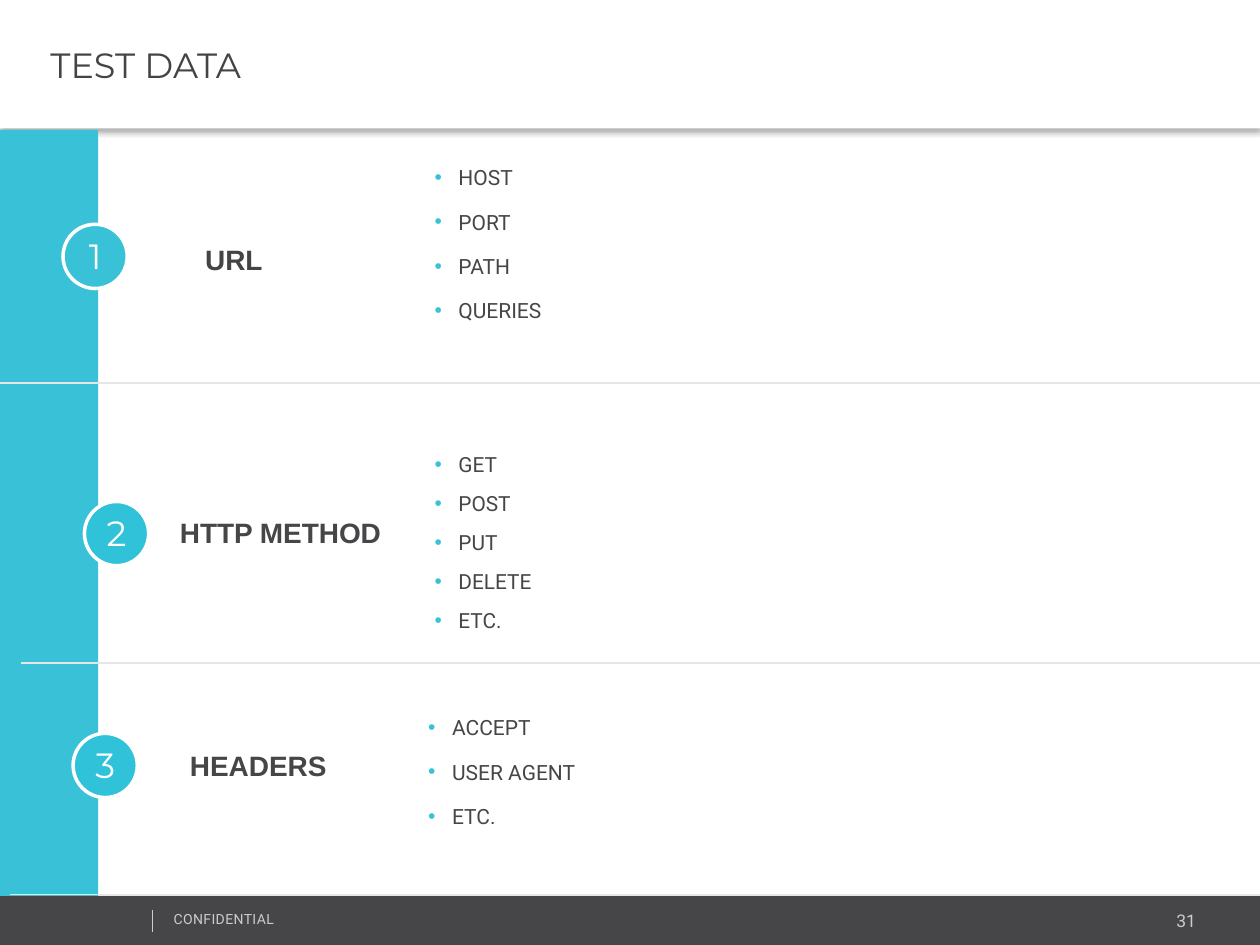
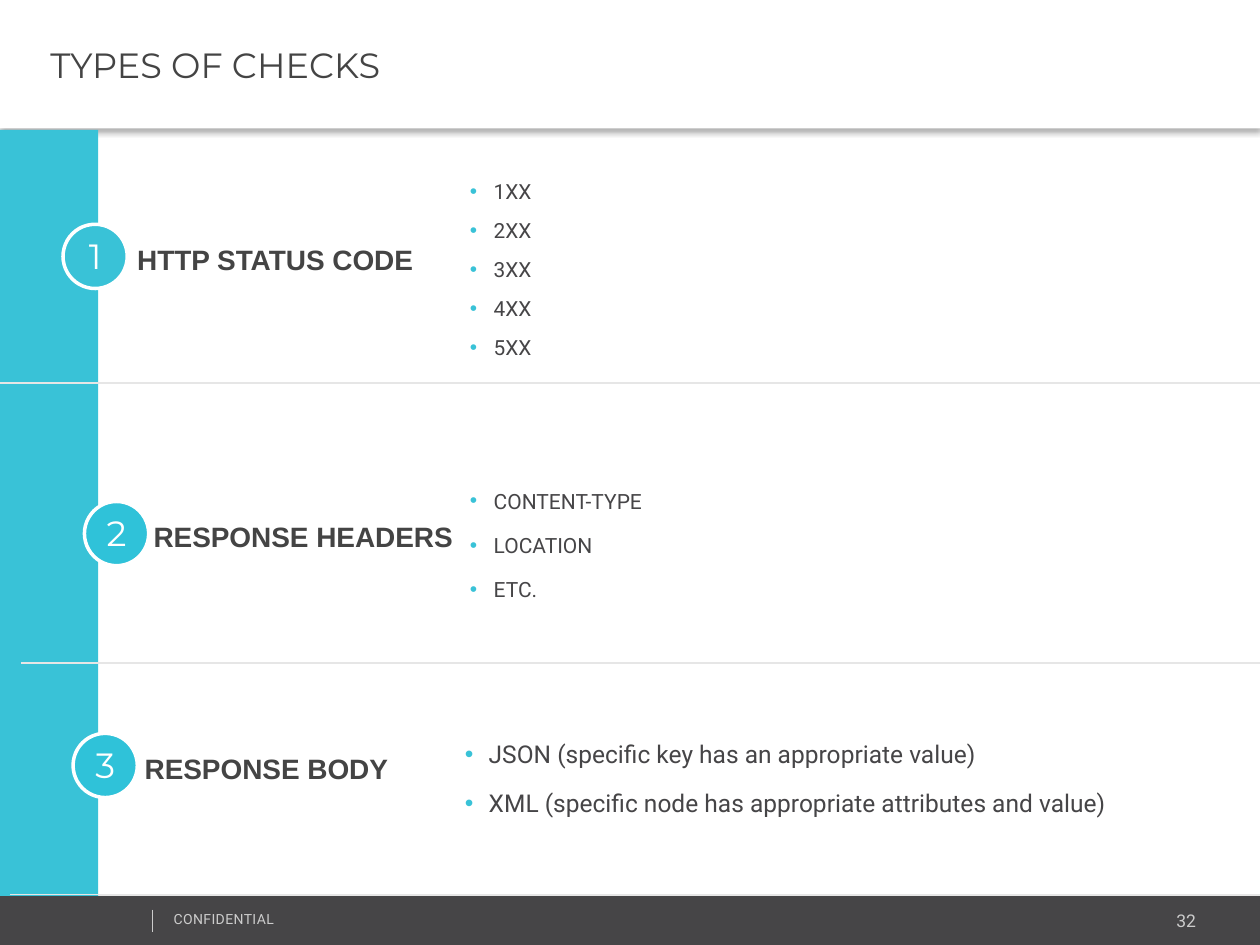
from lxml import etree
from pptx import Presentation
from pptx.dml.color import RGBColor
from pptx.enum import shapes, text
from pptx.oxml import parse_xml
from pptx.oxml.ns import nsdecls, qn
from pptx.util import Inches, Pt

TEAL, AQUA, DARK, INK = "39C2D7", "2FC2D9", "464547", "444444"
WHITE, PALE, GREY = "FFFFFF", "E6E6E6", "CCCCCC"

ROWS = [
    {"shift": 0, "badge_top": 1.78, "rule_y": 3.04, "fill": TEAL},
    {"shift": 0.17, "badge_top": 3.98, "rule_y": 5.26, "fill": AQUA},
    {"shift": 0.08, "badge_top": 5.82, "rule_y": 7.1, "fill": AQUA},
]

LOOSE = {"size": 12, "spacing": 1.2}
TIGHT = {"size": 11.9}
LARGE = {"size": 14, "spacing": 1.2}
PLAIN_LABEL = {"height": 0.37, "color": DARK}
TALL_LABEL = {"height": 0.42, "color": INK, "spacing": 1.2}

SLIDES = [
    {"title": "TEST DATA", "number": "31", "topics": [
        {"label": "URL", "label_at": (1.53, 1.82, 0.71), "label_style": TALL_LABEL,
         "items": ["HOST", "PORT", "PATH", "QUERIES"],
         "items_at": (3.35, 1.14), "items_style": LOOSE},
        {"label": "HTTP METHOD", "label_at": (1.33, 4.04, 1.84), "label_style": PLAIN_LABEL,
         "items": ["GET", "POST", "PUT", "DELETE", "ETC."],
         "items_at": (3.35, 3.53), "items_style": TIGHT},
        {"label": "HEADERS", "label_at": (1.41, 5.89, 1.36), "label_style": PLAIN_LABEL,
         "items": ["ACCEPT", "USER AGENT", "ETC."],
         "items_at": (3.3, 5.33), "items_style": LOOSE},
    ]},
    {"title": "TYPES OF CHECKS", "number": "32", "topics": [
        {"label": "HTTP STATUS CODE", "label_at": (0.99, 1.82, 2.41), "label_style": TALL_LABEL,
         "items": ["1XX", "2XX", "3XX", "4XX", "5XX"],
         "items_at": (3.63, 1.36), "items_style": TIGHT},
        {"label": "RESPONSE HEADERS", "label_at": (1.12, 4.02, 2.61), "label_style": TALL_LABEL,
         "items": ["CONTENT-TYPE", "LOCATION", "ETC."],
         "items_at": (3.63, 3.53), "items_style": LOOSE},
        {"label": "RESPONSE BODY", "label_at": (1.05, 5.86, 2.2), "label_style": TALL_LABEL,
         "items": ["JSON (specific key has an appropriate value)",
                   "XML (specific node has appropriate attributes and value)"],
         "items_at": (3.59, 5.38), "items_style": LARGE},
    ]},
]


def rgb(value):
    """Turn a hex string into a colour."""
    return RGBColor.from_string(value)


def add_bullet(paragraph):
    """Give a paragraph a hanging teal bullet."""
    properties = paragraph._p.get_or_add_pPr()
    properties.set("marL", str(Inches(0.19)))
    properties.set("indent", str(-Inches(0.19)))
    color = etree.SubElement(properties, qn("a:buClr"))
    etree.SubElement(color, qn("a:srgbClr"), val=TEAL)
    etree.SubElement(properties, qn("a:buFont"), typeface="Arial")
    etree.SubElement(properties, qn("a:buChar"), char="•")


def write(shape, *lines, size, font="Roboto", color=DARK, bold=False, align="LEFT",
          anchor="TOP", insets=(0.1, 0.05, 0.1, 0.05), wrap=True, spacing=None,
          after=0, bullets=False, tracking=None):
    """Fill a shape with formatted lines of text."""
    frame = shape.text_frame
    frame.word_wrap = wrap
    frame.auto_size = text.MSO_AUTO_SIZE.NONE
    frame.vertical_anchor = text.MSO_ANCHOR[anchor]
    (frame.margin_left, frame.margin_top,
     frame.margin_right, frame.margin_bottom) = map(Inches, insets)
    for index, line in enumerate(lines):
        paragraph = frame.add_paragraph() if index else frame.paragraphs[0]
        paragraph.alignment = text.PP_ALIGN[align]
        paragraph.space_after = Pt(after)
        if spacing:
            paragraph.line_spacing = spacing
        if bullets:
            add_bullet(paragraph)
        run = paragraph.add_run()
        run.text = line
        run.font.size = Pt(size)
        run.font.name = font
        run.font.bold = bold
        run.font.color.rgb = rgb(color)
        if tracking:
            run.font._element.set("spc", str(tracking))


def add_text(slide, box, *lines, **style):
    """Add a text box and write in it."""
    write(slide.shapes.add_textbox(*map(Inches, box)), *lines, **style)


def add_block(slide, kind, box, fill, border=None):
    """Add a filled preset shape."""
    block = slide.shapes.add_shape(kind, *map(Inches, box))
    block.shadow.inherit = False
    block.fill.solid()
    block.fill.fore_color.rgb = rgb(fill)
    if border:
        block.line.color.rgb = rgb(border)
        block.line.width = Pt(2)
    else:
        block.line.fill.background()
    return block


def add_rule(slide, start, end, color, width):
    """Add a straight line without a shadow."""
    rule = slide.shapes.add_connector(shapes.MSO_CONNECTOR.STRAIGHT,
                                      *map(Inches, start + end))
    rule.line.color.rgb = rgb(color)
    rule.line.width = Pt(width)
    etree.SubElement(rule._element.spPr, qn("a:effectLst"))


def add_title(slide, title):
    """Format the title placeholder as a white band with a soft shadow."""
    band = slide.shapes.title
    band.left, band.top, band.width, band.height = map(Inches, (0, 0, 10, 1.02))
    band.fill.solid()
    band.fill.fore_color.rgb = rgb(WHITE)
    band._element.spPr.append(parse_xml(
        f'<a:effectLst {nsdecls("a")}><a:outerShdw blurRad="{Pt(3.1)}" dist="{Pt(2)}" '
        'dir="5400000" algn="t" rotWithShape="0"><a:srgbClr val="000000">'
        '<a:alpha val="30000"/></a:srgbClr></a:outerShdw></a:effectLst>'))
    write(band, title, size=20, font="Montserrat", color=INK, anchor="MIDDLE",
          insets=(0.4, 0.05, 0.1, 0.05))


def add_frame(slide, title, number):
    """Add the title, footer and side band."""
    rectangle = shapes.MSO_SHAPE.RECTANGLE
    add_block(slide, rectangle, (0, 7.11, 10, 0.4), DARK)
    add_text(slide, (7.96, 7.17, 1.63, 0.27), number, size=10, color=GREY, align="RIGHT")
    add_text(slide, (1.28, 7.18, 2.53, 0.24), "CONFIDENTIAL", size=8, color=GREY, tracking=20)
    add_rule(slide, (1.21, 7.22), (1.21, 7.4), GREY, 0.25)
    add_title(slide, title)
    add_block(slide, rectangle, (0, 1.03, 0.78, 6.08), TEAL)


def add_topic(slide, number, row, topic):
    """Add one numbered row with its label and bulleted items."""
    shift = row["shift"]
    add_rule(slide, (10 + shift, row["rule_y"]), (shift, row["rule_y"]), PALE, 1)
    badge = add_block(slide, shapes.MSO_SHAPE.OVAL,
                      (0.5 + shift, row["badge_top"], 0.51, 0.51), row["fill"], WHITE)
    write(badge, str(number), size=20, font="Montserrat", color=WHITE, align="CENTER",
          anchor="MIDDLE", insets=(0, 0.03, 0, 0.05))
    label_style = dict(topic["label_style"])
    label_box = (*topic["label_at"], label_style.pop("height"))
    add_text(slide, label_box, topic["label"], size=16, font="Arial", bold=True,
             wrap=False, **label_style)
    add_text(slide, (*topic["items_at"], 6.45, 1.55), *topic["items"], anchor="MIDDLE",
             after=8, bullets=True, **topic["items_style"])


def main():
    """Build the presentation."""
    deck = Presentation()
    deck.slide_width, deck.slide_height = Inches(10), Inches(7.5)
    for content in SLIDES:
        slide = deck.slides.add_slide(deck.slide_layouts[5])
        add_frame(slide, content["title"], content["number"])
        for number, (row, topic) in enumerate(zip(ROWS, content["topics"]), 1):
            add_topic(slide, number, row, topic)
    deck.save("out.pptx")


if __name__ == "__main__":
    main()
